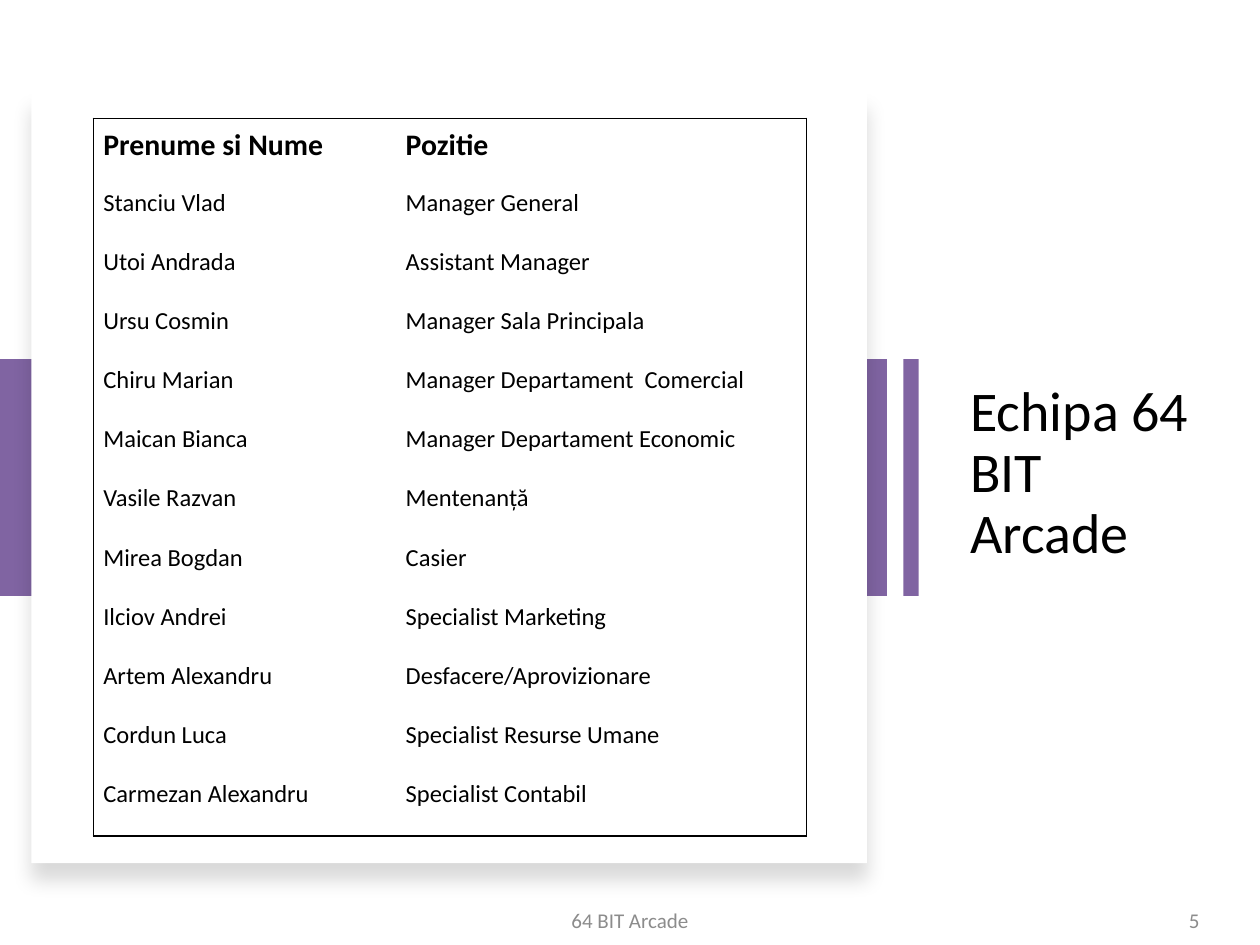
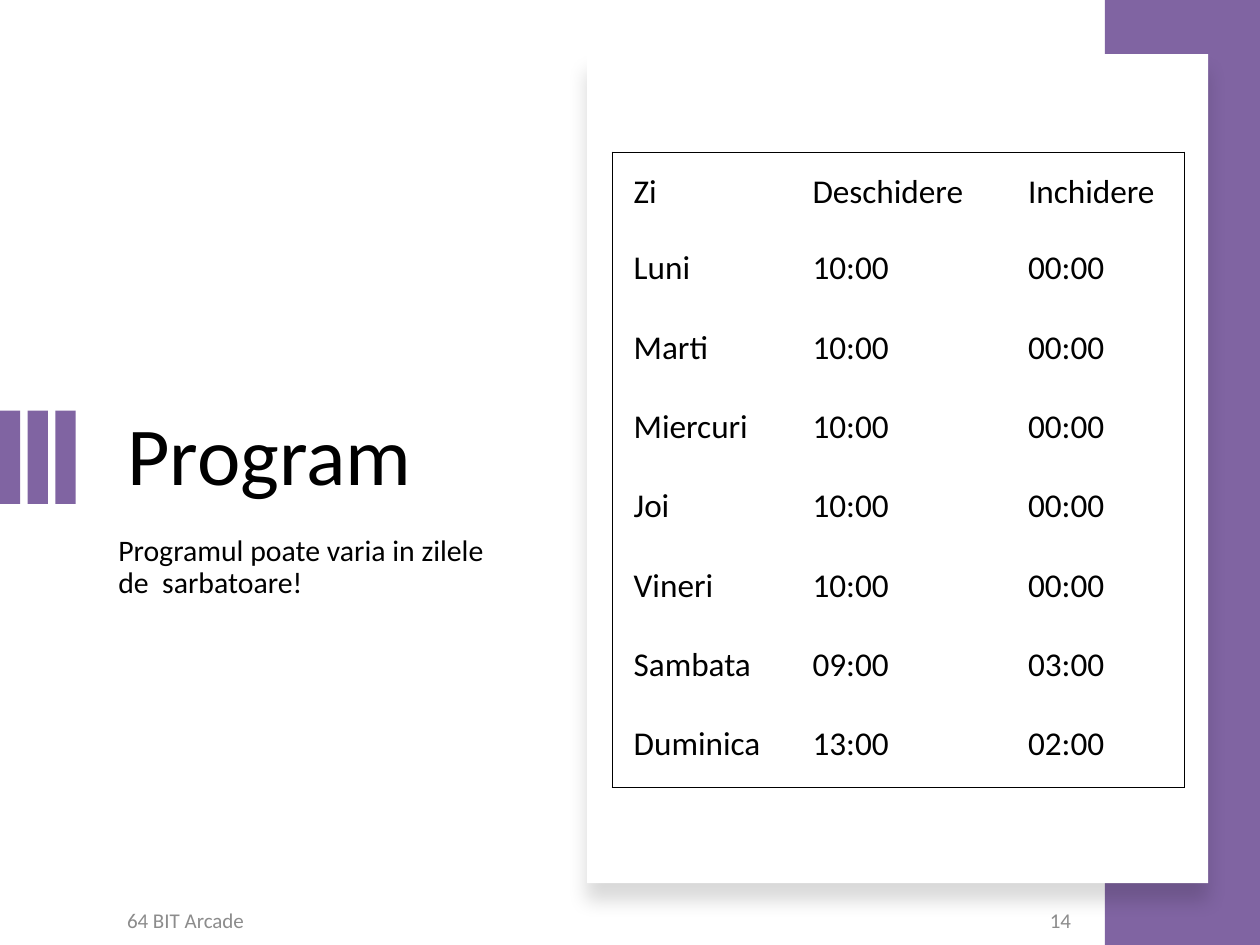
from lxml import etree
from pptx import Presentation
from pptx.dml.color import RGBColor
from pptx.enum.shapes import MSO_SHAPE
from pptx.enum.text import MSO_ANCHOR, MSO_AUTO_SIZE, PP_ALIGN
from pptx.oxml.ns import qn
from pptx.util import Inches, Pt

RECTANGLE = MSO_SHAPE.RECTANGLE
TOP, MIDDLE, BOTTOM = MSO_ANCHOR.TOP, MSO_ANCHOR.MIDDLE, MSO_ANCHOR.BOTTOM
LEFT, CENTER, RIGHT = PP_ALIGN.LEFT, PP_ALIGN.CENTER, PP_ALIGN.RIGHT
NO_AUTOFIT = MSO_AUTO_SIZE.NONE

COLORS = {
    "accent": "8064A2",
    "card": "FFFFFF",
    "text": "000000",
    "footer": "8C8C8C",
}
FONT = "Calibri"
FOOTER = "64 BIT Arcade"
FOOTER_TOP, FOOTER_HEIGHT = 7.1, 0.4

TEAM = [
    ("Prenume si Nume", "Pozitie"),
    ("Stanciu Vlad", "Manager General"),
    ("Utoi Andrada", "Assistant Manager"),
    ("Ursu Cosmin", "Manager Sala Principala"),
    ("Chiru Marian", "Manager Departament  Comercial"),
    ("Maican Bianca", "Manager Departament Economic"),
    ("Vasile Razvan", "Mentenanță"),
    ("Mirea Bogdan", "Casier"),
    ("Ilciov Andrei", "Specialist Marketing"),
    ("Artem Alexandru", "Desfacere/Aprovizionare"),
    ("Cordun Luca", "Specialist Resurse Umane"),
    ("Carmezan Alexandru", "Specialist Contabil"),
]
WEEKDAYS = ["Luni", "Marti", "Miercuri", "Joi", "Vineri"]
SCHEDULE = [
    ("Zi", "Deschidere", "Inchidere"),
    *[(day, "10:00", "00:00") for day in WEEKDAYS],
    ("Sambata", "09:00", "03:00"),
    ("Duminica", "13:00", "02:00"),
]


def color(name):
    return RGBColor.from_string(COLORS[name])


def write_text(frame, text, size, color_name="text", bold=False, align=LEFT,
               line_spacing=None, space_after=None):
    paragraph = frame.paragraphs[0]
    paragraph.alignment = align
    paragraph.line_spacing = line_spacing
    if space_after is not None:
        paragraph.space_after = Pt(space_after)
    run = paragraph.add_run()
    run.text = text
    run.font.name = FONT
    run.font.size = Pt(size)
    run.font.bold = bold
    run.font.color.rgb = color(color_name)


def set_frame(frame, anchor):
    frame.word_wrap = True
    frame.auto_size = NO_AUTOFIT
    frame.vertical_anchor = anchor


def set_title(slide, text, left, top, width, height, size, anchor):
    title = slide.shapes.title
    title.left, title.top = Inches(left), Inches(top)
    title.width, title.height = Inches(width), Inches(height)
    set_frame(title.text_frame, anchor)
    write_text(title.text_frame, text, size, line_spacing=0.9)


def add_text(slide, text, left, top, width, height, size, anchor=MIDDLE, **text_format):
    box = slide.shapes.add_textbox(Inches(left), Inches(top), Inches(width), Inches(height))
    set_frame(box.text_frame, anchor)
    write_text(box.text_frame, text, size, **text_format)


def add_footer(slide, text, left, width, align):
    add_text(slide, text, left, FOOTER_TOP, width, FOOTER_HEIGHT, 12,
             color_name="footer", align=align, space_after=6)


def add_rectangle(slide, left, top, width, height, color_name="accent"):
    shape = slide.shapes.add_shape(
        RECTANGLE, Inches(left), Inches(top), Inches(width), Inches(height))
    shape.shadow.inherit = False
    shape.fill.solid()
    shape.fill.fore_color.rgb = color(color_name)
    shape.line.fill.background()
    return shape


def add_card(slide, left, top, width, height):
    card = add_rectangle(slide, left, top, width, height, "card")
    effects = card.element.spPr.find(qn("a:effectLst"))
    shadow = etree.SubElement(effects, qn("a:outerShdw"), blurRad=str(Pt(11)),
                              dist=str(Pt(10)), dir="5400000", rotWithShape="0")
    shadow_color = etree.SubElement(shadow, qn("a:srgbClr"), val=COLORS["text"])
    etree.SubElement(shadow_color, qn("a:alpha"), val="15000")


def set_borders(cell, visible_sides):
    properties = cell._tc.get_or_add_tcPr()
    for side in "LRTB":
        line = etree.SubElement(properties, qn(f"a:ln{side}"), w=str(Pt(1)))
        if side in visible_sides:
            fill = etree.SubElement(line, qn("a:solidFill"))
            etree.SubElement(fill, qn("a:srgbClr"), val=COLORS["text"])
        else:
            etree.SubElement(line, qn("a:noFill"))


def add_framed_table(slide, rows, left, top, widths, heights, margins,
                     size, header_size, header_bold, header_anchor):
    last_row, last_column = len(rows) - 1, len(widths) - 1
    table = slide.shapes.add_table(
        len(rows), len(widths), Inches(left), Inches(top),
        Inches(sum(widths)), Inches(sum(heights))).table
    table.first_row = table.horz_banding = False
    for column, width in zip(table.columns, widths):
        column.width = Inches(width)
    for r, (values, height) in enumerate(zip(rows, heights)):
        table.rows[r].height = Inches(height)
        header = r == 0
        for c, value in enumerate(values):
            cell = table.cell(r, c)
            edges = {"L": c == 0, "R": c == last_column, "T": header, "B": r == last_row}
            set_borders(cell, [side for side, outer in edges.items() if outer])
            cell.fill.solid()
            cell.fill.fore_color.rgb = color("card")
            (cell.margin_left, cell.margin_top,
             cell.margin_right, cell.margin_bottom) = map(Inches, margins)
            cell.vertical_anchor = header_anchor if header else TOP
            write_text(cell.text_frame, value, header_size if header else size,
                       bold=header and header_bold)


def build_team_slide(slide):
    set_title(slide, "Echipa 64 BIT Arcade", 7.6, 2.21, 2.03, 3.11, 32, MIDDLE)
    add_rectangle(slide, 0, 2.85, 7.04, 1.88)
    add_card(slide, 0.25, 0.73, 6.63, 6.12)
    add_rectangle(slide, 7.17, 2.85, 0.12, 1.88)
    add_footer(slide, FOOTER, 3.31, 3.38, CENTER)
    add_footer(slide, "5", 7.06, 2.56, RIGHT)
    add_framed_table(slide, TEAM, 0.74, 0.94, [2.4, 3.26],
                     [0.53] + [0.47] * (len(TEAM) - 1), (0.08, 0.02, 0.11, 0.17),
                     size=14, header_size=17, header_bold=True, header_anchor=BOTTOM)


def build_schedule_slide(slide):
    set_title(slide, "Program", 0.91, 3.24, 3.31, 2.61, 47, TOP)
    add_text(slide, "Programul poate varia in zilele de  sarbatoare!",
             0.84, 2.94, 3.31, 1.87, 17, anchor=BOTTOM, line_spacing=0.9)
    for stripe in range(3):
        add_rectangle(slide, stripe * 0.22, 3.26, 0.16, 0.74)
    add_rectangle(slide, 8.77, 0, 1.23, 7.5)
    add_card(slide, 4.66, 0.43, 4.93, 6.58)
    add_footer(slide, FOOTER, 0.91, 3.09, LEFT)
    add_footer(slide, "14", 7.06, 1.54, RIGHT)
    add_framed_table(slide, SCHEDULE, 4.86, 1.21, [1.42, 1.71, 1.41],
                     [0.63] * len(SCHEDULE), (0.17, 0.13, 0.1, 0.13),
                     size=19, header_size=19, header_bold=False, header_anchor=MIDDLE)


def main():
    presentation = Presentation()
    presentation.slide_width = Inches(10)
    presentation.slide_height = Inches(7.5)
    title_only = presentation.slide_layouts[5]
    for build in (build_team_slide, build_schedule_slide):
        build(presentation.slides.add_slide(title_only))
    presentation.save("out.pptx")


if __name__ == "__main__":
    main()
